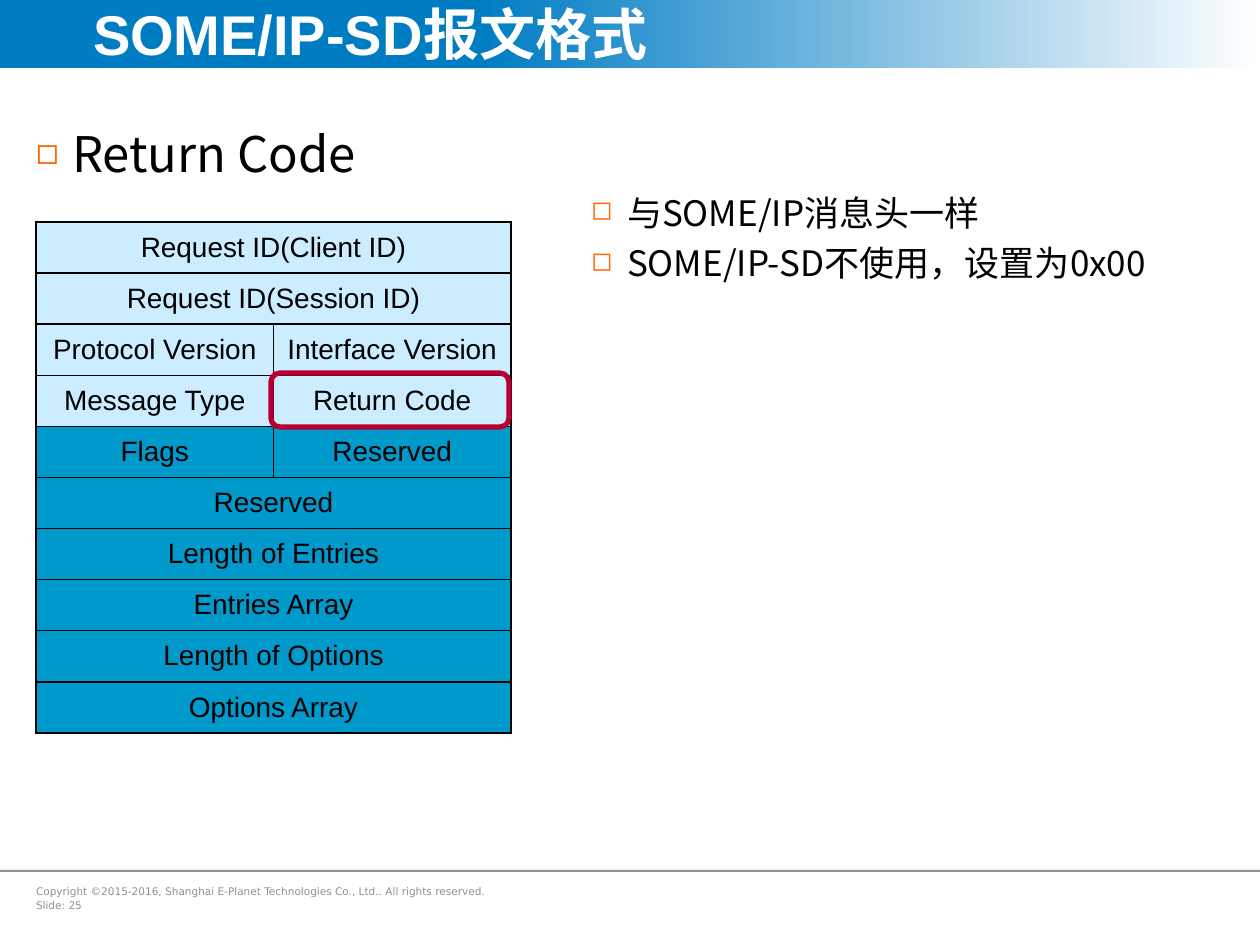
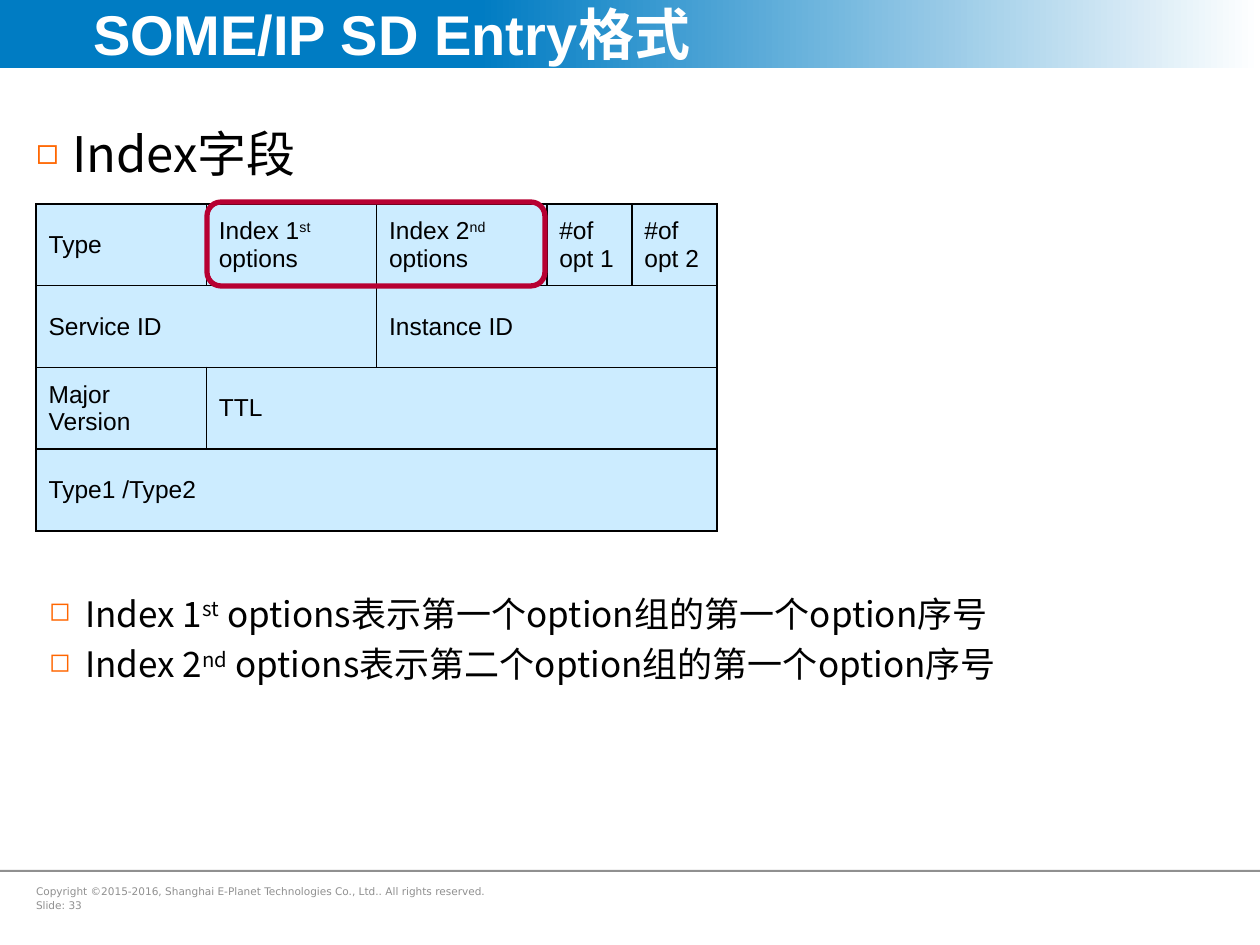
import copy

import pptx
import pptx.dml.color
import pptx.enum.shapes
import pptx.enum.text
import pptx.oxml
import pptx.oxml.ns
import pptx.util

RGB = pptx.dml.color.RGBColor
BLUE = RGB(0x00, 0x7C, 0xC3)
WHITE = RGB(0xFF, 0xFF, 0xFF)
BLACK = RGB(0x00, 0x00, 0x00)
GREY = RGB(0x90, 0x90, 0x90)
ORANGE = RGB(0xFF, 0x66, 0x00)
PALE = RGB(0xCC, 0xEC, 0xFF)
DEEP = RGB(0x00, 0x99, 0xCC)
RED = RGB(0xB7, 0x00, 0x32)

SANS = "Noto Sans CJK SC"
RIGHTS = ("Copyright ©2015-2016, Shanghai E-Planet Technologies Co., Ltd.. "
          "All rights reserved.")
NS = pptx.oxml.ns.nsdecls("a")
KIND = pptx.enum.shapes.MSO_SHAPE
ALIGN = pptx.enum.text.PP_ALIGN
ANCHOR = pptx.enum.text.MSO_ANCHOR


def px(count):
    return pptx.util.Emu(round(count * 914400 / 126))


class Deck:
    wide, high = 1260, 945
    left = 36

    def __init__(self):
        self.show = pptx.Presentation()
        self.show.slide_width = px(self.wide)
        self.show.slide_height = px(self.high)
        self.slide = None

    def page(self, title, head, number):
        self.slide = self.show.slides.add_slide(self.show.slide_layouts[1])
        self.band()
        self.block(KIND.RECTANGLE, 0, 870, self.wide, 2, GREY)
        self.title(title)
        self.body(head)
        self.footer(number)

    def place(self, shape, x, y, w, h):
        shape.left, shape.top, shape.width, shape.height = map(px, (x, y, w, h))

    def frame(self, shape, left=0, right=0):
        frame = shape.text_frame
        frame.word_wrap = True
        frame.auto_size = pptx.enum.text.MSO_AUTO_SIZE.NONE
        frame.margin_left, frame.margin_right = px(left), px(right)
        frame.margin_top = frame.margin_bottom = px(6)
        return frame

    def words(self, para, text, size, font=SANS, ink=BLACK, bold=False):
        for turn, part in enumerate(text.split("^")):
            run = para.add_run()
            run.text = part
            run.font.size = pptx.util.Pt(size)
            run.font.name = font
            run.font.bold = bold
            run.font.color.rgb = ink
            props = run._r.get_or_add_rPr()
            props.append(pptx.oxml.parse_xml(f'<a:ea {NS} typeface="{SANS}"/>'))
            if turn % 2:
                props.set("baseline", "30000")

    def lines(self, frame, texts, size, gap, mark=False, **style):
        for turn, text in enumerate(texts):
            para = frame.add_paragraph() if turn else frame.paragraphs[0]
            if mark:
                self.bullet(para)
            para.alignment = ALIGN.LEFT
            para.space_before = pptx.util.Pt(gap if turn else 0)
            self.words(para, text, size, **style)

    def bullet(self, para):
        props = para._p.get_or_add_pPr()
        props.set("marL", str(px(36)))
        props.set("indent", str(px(-36)))
        for part in (f'<a:buClr {NS}><a:srgbClr val="{ORANGE}"/></a:buClr>',
                     f'<a:buSzPct {NS} val="75000"/>',
                     f'<a:buChar {NS} char="◻"/>'):
            props.append(pptx.oxml.parse_xml(part))

    def block(self, kind, x, y, w, h, fill=None):
        shape = self.slide.shapes.add_shape(kind, *map(px, (x, y, w, h)))
        shape.shadow.inherit = False
        shape.line.fill.background()
        if fill is None:
            shape.fill.background()
        else:
            shape.fill.solid()
            shape.fill.fore_color.rgb = fill
        return shape

    def band(self):
        band = self.block(KIND.RECTANGLE, 0, 0, self.wide, 68)
        band.fill.gradient()
        band.fill.gradient_angle = 0
        first = band.element.find(".//" + pptx.oxml.ns.qn("a:gs"))
        first.addprevious(copy.deepcopy(first))
        for stop, spot, ink in zip(band.fill.gradient_stops,
                                   (0, 0.38, 1), (BLUE, BLUE, WHITE)):
            stop.position = spot
            stop.color.rgb = ink
        self.slide.shapes.title.element.addprevious(band.element)

    def title(self, text):
        shape = self.slide.shapes.title
        self.place(shape, 77, 0, 1004, 67)
        frame = self.frame(shape, 16)
        frame.vertical_anchor = ANCHOR.MIDDLE
        self.lines(frame, [text], 32, 0, font="Arial", ink=WHITE, bold=True)

    def body(self, text):
        shape = self.slide.placeholders[1]
        self.place(shape, self.left, 117, 1164, 645)
        self.lines(self.frame(shape), [text], 28, 0, mark=True)

    def box(self, x, y, w, h):
        return self.slide.shapes.add_textbox(*map(px, (x, y, w, h)))

    def footer(self, number):
        frame = self.frame(self.box(self.left, 879, 484, 40), 0, 13)
        self.lines(frame, [RIGHTS, f"Slide: {number}"], 6, 1,
                   font="DejaVu Sans", ink=GREY)

    def notes(self, x, y, w, texts):
        frame = self.frame(self.box(x, y, w, 118), 13, 13)
        self.lines(frame, texts, 20, 5, mark=True)

    def ring(self, x, y, w, h):
        shape = self.block(KIND.ROUNDED_RECTANGLE, x, y, w, h)
        shape.line.color.rgb = RED
        shape.line.width = pptx.util.Pt(3)

    def edge(self, cell):
        props = cell._tc.get_or_add_tcPr()
        for side in "LRTB":
            props.append(pptx.oxml.parse_xml(
                f'<a:ln{side} {NS} w="12700"><a:solidFill>'
                f'<a:srgbClr val="{BLACK}"/></a:solidFill></a:ln{side}>'))

    def table(self, y, w, h, parts, rows, size, align, split=None):
        split = len(rows) if split is None else split
        shape = self.slide.shapes.add_table(
            len(rows), len(parts), *map(px, (self.left, y, w, h)))
        grid = shape.table
        grid.first_row = grid.horz_banding = False
        for col, part in zip(grid.columns, parts):
            col.width = px(w * part / sum(parts))
        for r, row in enumerate(rows):
            grid.rows[r].height = px(h / len(rows))
            for c in range(len(parts)):
                cell = grid.cell(r, c)
                self.edge(cell)
                cell.fill.solid()
                cell.fill.fore_color.rgb = PALE if r < split else DEEP
            c = 0
            for text, span in row:
                cell = grid.cell(r, c)
                if span > 1:
                    cell.merge(grid.cell(r, c + span - 1))
                cell.vertical_anchor = ANCHOR.MIDDLE
                para = cell.text_frame.paragraphs[0]
                para.alignment = align
                self.words(para, text, size, font="Arial")
                c += span


def header(deck):
    deck.page("SOME/IP-SD报文格式", "Return Code", 25)
    fields = [
        ["Request ID(Client ID)"],
        ["Request ID(Session ID)"],
        ["Protocol Version", "Interface Version"],
        ["Message Type", "Return Code"],
        ["Flags", "Reserved"],
        ["Reserved"],
        ["Length of Entries"],
        ["Entries Array"],
        ["Length of Options"],
        ["Options Array"],
    ]
    rows = [[(name, 2 // len(names)) for name in names] for names in fields]
    deck.table(222, 475, 511, (1, 1), rows, 16, ALIGN.CENTER, split=4)
    deck.notes(578, 185, 612, ["与SOME/IP消息头一样",
                               "SOME/IP-SD不使用，设置为0x00"])
    deck.ring(271, 373, 238, 54)


def entry(deck):
    deck.page("SOME/IP SD Entry格式", "Index字段", 33)
    deck.notes(deck.left, 586, 1116, [
        "Index 1^st^ options表示第一个option组的第一个option序号",
        "Index 2^nd^ options表示第二个option组的第一个option序号"])
    rows = [
        [("Type", 1), ("Index 1^st^ options", 1), ("Index 2^nd^ options", 1),
         ("#of opt 1", 1), ("#of opt 2", 1)],
        [("Service ID", 2), ("Instance ID", 3)],
        [("Major Version", 1), ("TTL", 4)],
        [("Type1 /Type2", 5)],
    ]
    deck.table(204, 681, 327, (2, 2, 2, 1, 1), rows, 14, ALIGN.LEFT)
    deck.ring(207, 202, 338, 84)


def main():
    deck = Deck()
    header(deck)
    entry(deck)
    deck.show.save("out.pptx")


if __name__ == "__main__":
    main()
